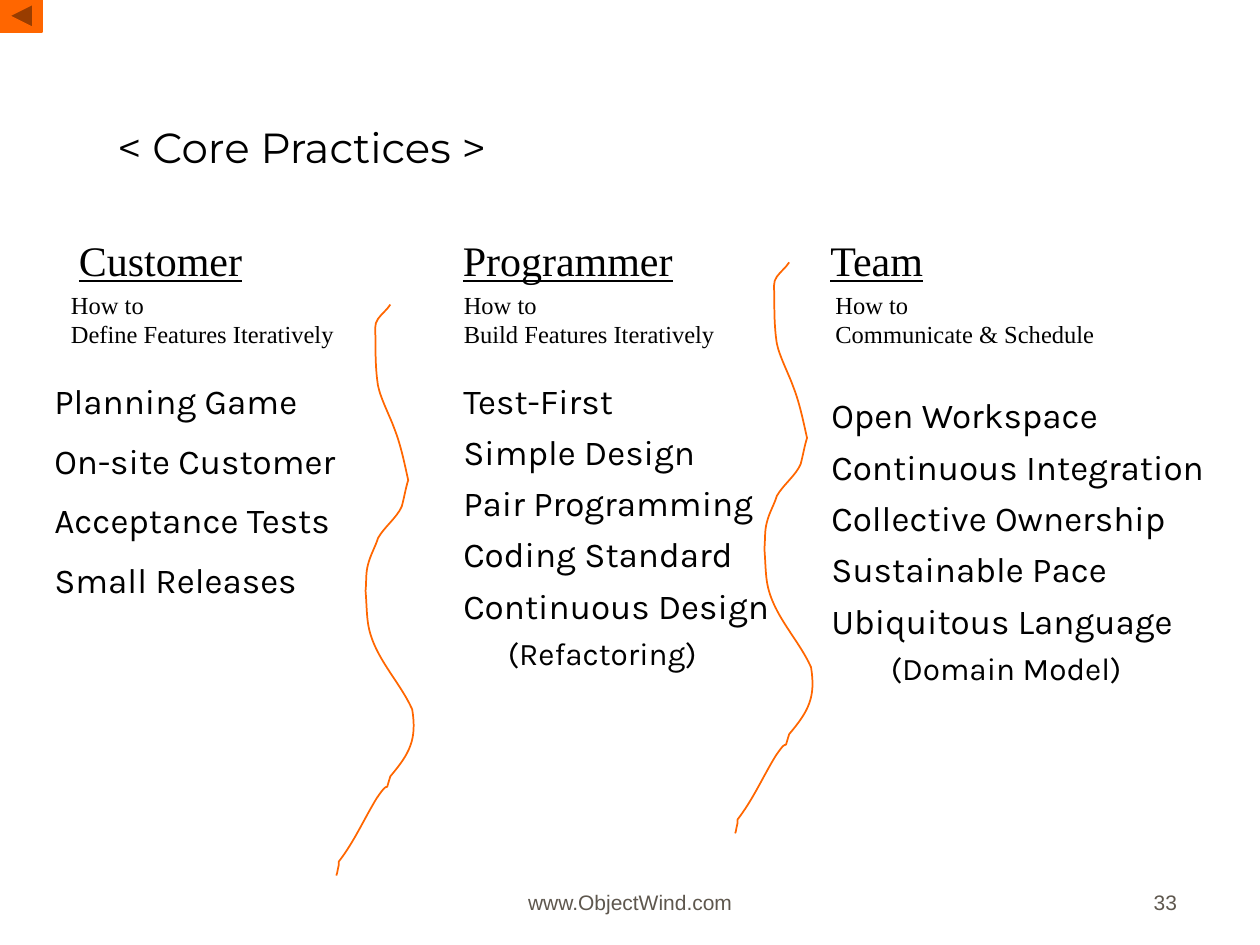
from dataclasses import dataclass

from lxml.etree import SubElement
from pptx import Presentation
from pptx.dml.color import RGBColor
from pptx.enum.shapes import MSO_SHAPE
from pptx.enum.text import MSO_ANCHOR, MSO_AUTO_SIZE, PP_ALIGN
from pptx.oxml.ns import qn
from pptx.util import Cm, Pt


@dataclass(frozen=True)
class Theme:
    accent: RGBColor = RGBColor(0xFF, 0x66, 0x00)
    ink: RGBColor = RGBColor(0x00, 0x00, 0x00)
    muted: RGBColor = RGBColor(0x5E, 0x57, 0x4E)
    title_font: str = "Montserrat"
    heading_font: str = "Times New Roman"
    list_font: str = "Karla"
    footer_font: str = "Arial"
    title_size: int = 24
    list_size: int = 20
    detail_size: int = 18
    goal_size: int = 14
    footer_size: int = 12


@dataclass(frozen=True)
class Column:
    heading: str
    heading_tab: float
    goal: str
    goal_box: tuple
    practices: tuple
    list_box: tuple
    line_spacing: float = 0.7
    detail: str = ""
    detail_indent: float = 0


THEME = Theme()

COLUMNS = (
    Column("Customer", 0, "Define Features Iteratively", (1.18, 5.7, 5.82, 1.45),
           ("Planning Game", "On-site Customer", "Acceptance Tests", "Small Releases"),
           (0.84, 7.62, 7.8, 4.9), line_spacing=0.9),
    Column("Programmer", 7.74, "Build Features Iteratively", (9.1, 5.7, 5.69, 1.45),
           ("Test-First", "Simple Design", "Pair Programming", "Coding Standard",
            "Continuous Design"),
           (9.09, 7.75, 11, 7.19), detail="(Refactoring)", detail_indent=0.9),
    Column("Team", 15.15, "Communicate & Schedule", (16.59, 5.7, 5.84, 1.45),
           ("Open Workspace", "Continuous Integration", "Collective Ownership",
            "Sustainable Pace", "Ubiquitous Language"),
           (16.51, 8.05, 8.89, 6.99), detail="(Domain Model)", detail_indent=1.2),
)

# Wavy divider in cm: a start point, then two control points and an end per curve.
WAVE_START = (7.87, 6.14)
WAVE_CURVES = (
    (7.80, 6.25, 7.70, 6.32, 7.62, 6.43),
    (7.54, 6.53, 7.57, 6.68, 7.57, 6.81),
    (7.57, 7.14, 7.57, 7.44, 7.62, 7.77),
    (7.67, 8.03, 7.87, 8.41, 7.95, 8.64),
    (8.08, 8.97, 8.15, 9.32, 8.23, 9.68),
    (8.18, 9.83, 8.15, 10.03, 8.10, 10.21),
    (8.00, 10.44, 7.75, 10.62, 7.62, 10.85),
    (7.57, 11.02, 7.47, 11.18, 7.42, 11.38),
    (7.37, 11.56, 7.39, 11.73, 7.37, 11.91),
    (7.39, 12.14, 7.39, 12.37, 7.42, 12.57),
    (7.52, 13.23, 8.05, 13.72, 8.31, 14.30),
    (8.41, 14.91, 8.26, 15.19, 7.87, 15.65),
    (7.72, 16.13, 7.92, 15.60, 7.59, 16.10),
    (7.34, 16.51, 7.14, 16.97, 6.83, 17.37),
    (6.83, 17.42, 6.83, 17.48, 6.81, 17.53),
    (6.81, 17.58, 6.78, 17.65, 6.78, 17.65),
)
WAVE_OFFSETS = ((0, 0), (8.04, -0.85))


def place(shape, box):
    shape.left, shape.top, shape.width, shape.height = (Cm(value) for value in box)


def format_run(run, font, size, color=THEME.ink, underline=False):
    run.font.name = font
    run.font.size = Pt(size)
    run.font.color.rgb = color
    run.font.underline = underline


def write(shape, text, font, size, color=THEME.ink, anchor=MSO_ANCHOR.BOTTOM,
          alignment=PP_ALIGN.LEFT, wrap=True):
    """Fill a shape with uniformly formatted paragraphs, one per line of text."""
    frame = shape.text_frame
    frame.text = text
    frame.auto_size = MSO_AUTO_SIZE.NONE
    frame.word_wrap = wrap
    frame.vertical_anchor = anchor
    for paragraph in frame.paragraphs:
        paragraph.alignment = alignment
        for run in paragraph.runs:
            format_run(run, font, size, color)


def add_text(slide, box, *content, **formatting):
    shape = slide.shapes.add_textbox(*(Cm(value) for value in box))
    write(shape, *content, **formatting)
    return shape


def fill_list(shape, column):
    """Write the practices, with the optional detail as an indented last line."""
    place(shape, column.list_box)
    lines = column.practices + ((column.detail,) if column.detail else ())
    write(shape, "\n".join(lines), THEME.list_font, THEME.list_size,
          anchor=MSO_ANCHOR.TOP, wrap=False)
    for index, paragraph in enumerate(shape.text_frame.paragraphs):
        is_detail = index == len(column.practices)
        paragraph.line_spacing = column.line_spacing
        paragraph.space_before = Pt(0 if index == 0 else 11.2 if is_detail else 12.5)
        properties = paragraph._p.get_or_add_pPr()
        properties.set("marL", str(Cm(column.detail_indent if is_detail else 0)))
        properties.set("indent", "0")
        SubElement(properties, qn("a:buNone"))
        if is_detail:
            paragraph.runs[0].font.size = Pt(THEME.detail_size)


def add_headings(slide):
    """Set the underlined column headings on one line, spaced by tab stops."""
    style = (THEME.heading_font, THEME.title_size)
    shape = add_text(slide, (0.84, 4.42, 21.16, 1.45), "", *style)
    shape.text_frame.margin_left = Cm(0.75)
    paragraph = shape.text_frame.paragraphs[0]
    tabs = SubElement(paragraph._p.get_or_add_pPr(), qn("a:tabLst"))
    for column in COLUMNS:
        if column.heading_tab:
            SubElement(tabs, qn("a:tab"), pos=str(Cm(column.heading_tab)), algn="l")
            gap = paragraph.add_run()
            gap.text = "\t"
            format_run(gap, *style)
        heading = paragraph.add_run()
        heading.text = column.heading
        format_run(heading, *style, underline=True)


def add_divider(slide, offset):
    """Draw the wave, turning each straight segment into its cubic curve."""
    def shifted(point):
        return tuple(Cm(value + shift) for value, shift in zip(point, offset))

    builder = slide.shapes.build_freeform(*shifted(WAVE_START))
    builder.add_line_segments([shifted(curve[4:]) for curve in WAVE_CURVES], close=False)
    divider = builder.convert_to_shape()
    segments = list(divider._element.iter(qn("a:lnTo")))
    for segment, curve in zip(segments, WAVE_CURVES):
        segment.tag = qn("a:cubicBezTo")
        segment.remove(segment[0])
        for start in (0, 2, 4):
            x, y = shifted(curve[start:start + 2])
            SubElement(segment, qn("a:pt"), x=str(x - divider.left), y=str(y - divider.top))
    divider.shadow.inherit = False
    divider.fill.background()
    divider.line.color.rgb = THEME.accent
    divider.line.width = Pt(1)


def add_back_button(slide):
    button = slide.shapes.add_shape(MSO_SHAPE.ACTION_BUTTON_BACK_OR_PREVIOUS,
                                    0, 0, Cm(0.85), Cm(0.64))
    button.shadow.inherit = False
    button.fill.solid()
    button.fill.fore_color.rgb = THEME.accent
    button.line.color.rgb = THEME.accent
    button.line.width = Pt(1)


def add_footer(slide):
    style = (THEME.footer_font, THEME.footer_size, THEME.muted)
    add_text(slide, (8.68, 17.3, 8.05, 1.27), "www.ObjectWind.com", *style,
             alignment=PP_ALIGN.CENTER)
    add_text(slide, (18.7, 17.3, 5.28, 1.27), "33", *style, alignment=PP_ALIGN.RIGHT)


def main():
    presentation = Presentation()
    presentation.slide_width, presentation.slide_height = Cm(25.4), Cm(19.05)
    slide = presentation.slides.add_slide(presentation.slide_layouts[1])
    add_back_button(slide)
    title, body = slide.placeholders
    place(title, (2.11, 1.25, 21.59, 2.34))
    write(title, "< Core Practices >", THEME.title_font, THEME.title_size)
    for index, column in enumerate(COLUMNS):
        fill_list(body if index == 0 else slide.shapes.add_textbox(0, 0, 0, 0), column)
    add_headings(slide)
    for column in COLUMNS:
        add_text(slide, column.goal_box, f"How to\n{column.goal}",
                 THEME.heading_font, THEME.goal_size, wrap=False)
    for offset in WAVE_OFFSETS:
        add_divider(slide, offset)
    add_footer(slide)
    presentation.save("out.pptx")


if __name__ == "__main__":
    main()
